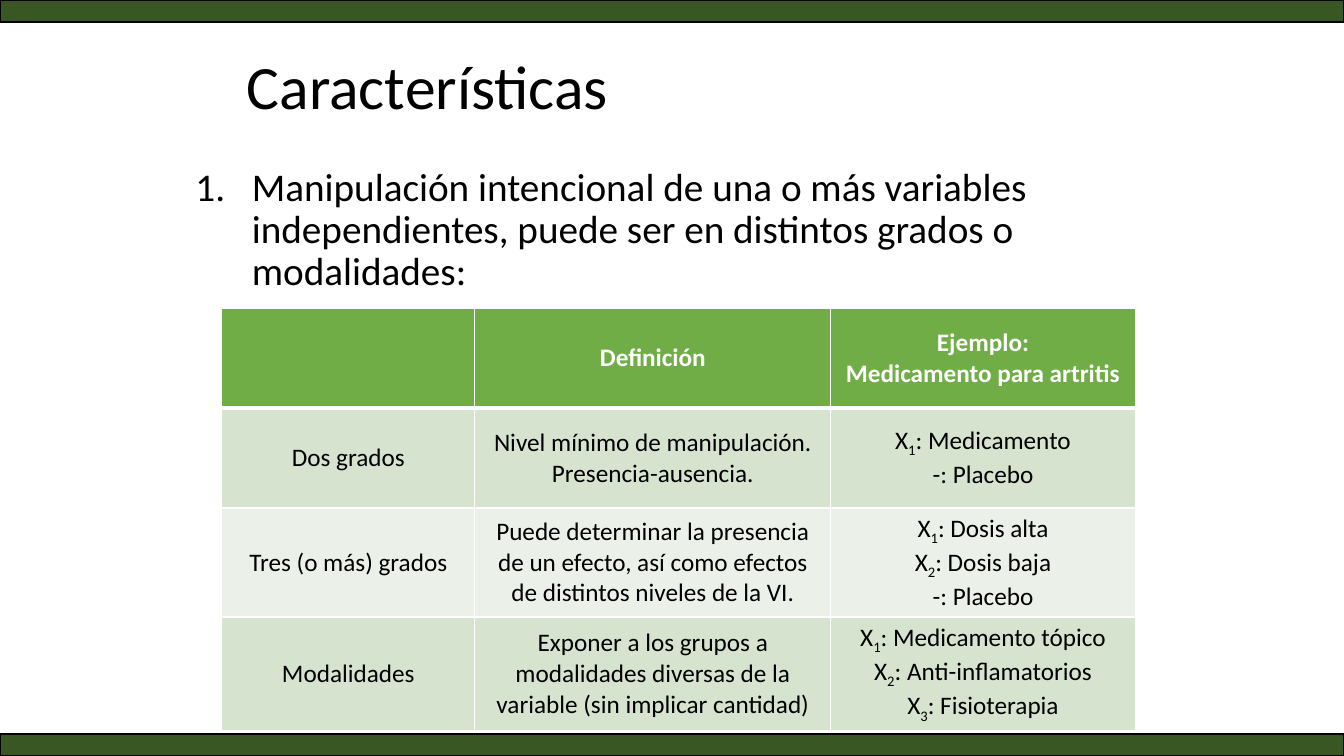
import pptx
import pptx.util
import pptx.dml.color
import pptx.enum.shapes
import pptx.enum.text
import pptx.oxml.ns
from lxml import etree

Inches = pptx.util.Inches
Pt = pptx.util.Pt
MIDDLE = pptx.enum.text.MSO_ANCHOR.MIDDLE
CENTER = pptx.enum.text.PP_ALIGN.CENTER
COLORS = {"bar": "385723", "header": "70AD47", "band_dark": "D5E3CF",
          "band_light": "EBF1E9", "white": "FFFFFF", "black": "000000"}


def rgb(name):
    return pptx.dml.color.RGBColor.from_string(COLORS[name])


def write(paragraph, text, size=18, color="black", bold=False, align=None, spacing=None):
    """Fill a paragraph; the character after an underscore is a subscript."""
    paragraph.alignment = align
    paragraph.line_spacing = spacing
    first, *marked = text.split("_")
    pieces = [(first, False)]
    for part in marked:
        pieces += [(part[0], True), (part[1:], False)]
    for piece, subscript in pieces:
        run = paragraph.add_run()
        run.text = piece
        run.font.name = "Calibri"
        run.font.size = Pt(size)
        run.font.bold = bold
        run.font.color.rgb = rgb(color)
        if subscript:
            run.font._element.set("baseline", "-25000")


presentation = pptx.Presentation()
presentation.slide_width = Inches(13.33)
presentation.slide_height = Inches(7.5)
slide = presentation.slides.add_slide(presentation.slide_layouts[6])

# Numbered statement
statement = slide.shapes.add_textbox(Inches(1.84), Inches(1.61), Inches(9.82), Inches(1.4))
statement.text_frame.word_wrap = True
paragraph = statement.text_frame.paragraphs[0]
properties = paragraph._p.get_or_add_pPr()
properties.set("marL", str(Inches(0.56)))
properties.set("indent", str(-Inches(0.56)))
number = etree.SubElement(properties, pptx.oxml.ns.qn("a:buAutoNum"))
number.set("type", "arabicPeriod")
write(paragraph, "Manipulación intencional de una o más variables independientes, "
      "puede ser en distintos grados o modalidades:", size=28, spacing=0.9)

# Title
title = slide.shapes.add_textbox(Inches(2.35), Inches(0.16), Inches(8.62), Inches(1.45))
title.text_frame.word_wrap = True
title.text_frame.vertical_anchor = MIDDLE
write(title.text_frame.paragraphs[0], "Características", size=44, spacing=0.9)

# Table of manipulation levels
ROWS = [
    ["", "Definición", "Ejemplo:\nMedicamento para artritis"],
    ["Dos grados", "Nivel mínimo de manipulación. Presencia-ausencia.",
     "X_1: Medicamento\n-: Placebo"],
    ["Tres (o más) grados",
     "Puede determinar la presencia de un efecto, así como efectos de distintos niveles de la VI.",
     "X_1: Dosis alta\nX_2: Dosis baja\n-: Placebo"],
    ["Modalidades",
     "Exponer a los grupos a modalidades diversas de la variable (sin implicar cantidad)",
     "X_1: Medicamento tópico\nX_2: Anti-inflamatorios\nX_3: Fisioterapia"],
]
FILLS = ["header", "band_dark", "band_light", "band_dark"]
table = slide.shapes.add_table(len(ROWS), 3, Inches(2.2), Inches(3.06),
                               Inches(9.05), Inches(3.96)).table
for column, width in zip(table.columns, [2.51, 3.53, 3.02]):
    column.width = Inches(width)

for row_index, texts in enumerate(ROWS):
    table.rows[row_index].height = Inches(0.99)
    is_header = row_index == 0
    for column_index, text in enumerate(texts):
        cell = table.cell(row_index, column_index)
        cell.vertical_anchor = MIDDLE

        # White borders, thicker under the header
        cell_properties = cell._tc.get_or_add_tcPr()
        for side in "LRTB":
            thick = (row_index, side) in [(0, "B"), (1, "T")]
            border = etree.SubElement(cell_properties, pptx.oxml.ns.qn(f"a:ln{side}"))
            border.set("w", str(Pt(3 if thick else 1)))
            border_fill = etree.SubElement(border, pptx.oxml.ns.qn("a:solidFill"))
            border_color = etree.SubElement(border_fill, pptx.oxml.ns.qn("a:srgbClr"))
            border_color.set("val", COLORS["white"])
        cell.fill.solid()
        cell.fill.fore_color.rgb = rgb(FILLS[row_index])

        for line_index, line in enumerate(text.split("\n")):
            frame = cell.text_frame
            paragraph = frame.add_paragraph() if line_index else frame.paragraphs[0]
            write(paragraph, line, color="white" if is_header else "black",
                  bold=is_header, align=CENTER)

# Bars along the top and bottom edges
for top in [0, 7.28]:
    bar = slide.shapes.add_shape(pptx.enum.shapes.MSO_SHAPE.RECTANGLE,
                                 Inches(0), Inches(top), Inches(13.33), Inches(0.22))
    bar.shadow.inherit = False
    bar.fill.solid()
    bar.fill.fore_color.rgb = rgb("bar")
    bar.line.color.rgb = rgb("black")
    bar.line.width = Pt(1)

presentation.save("out.pptx")
